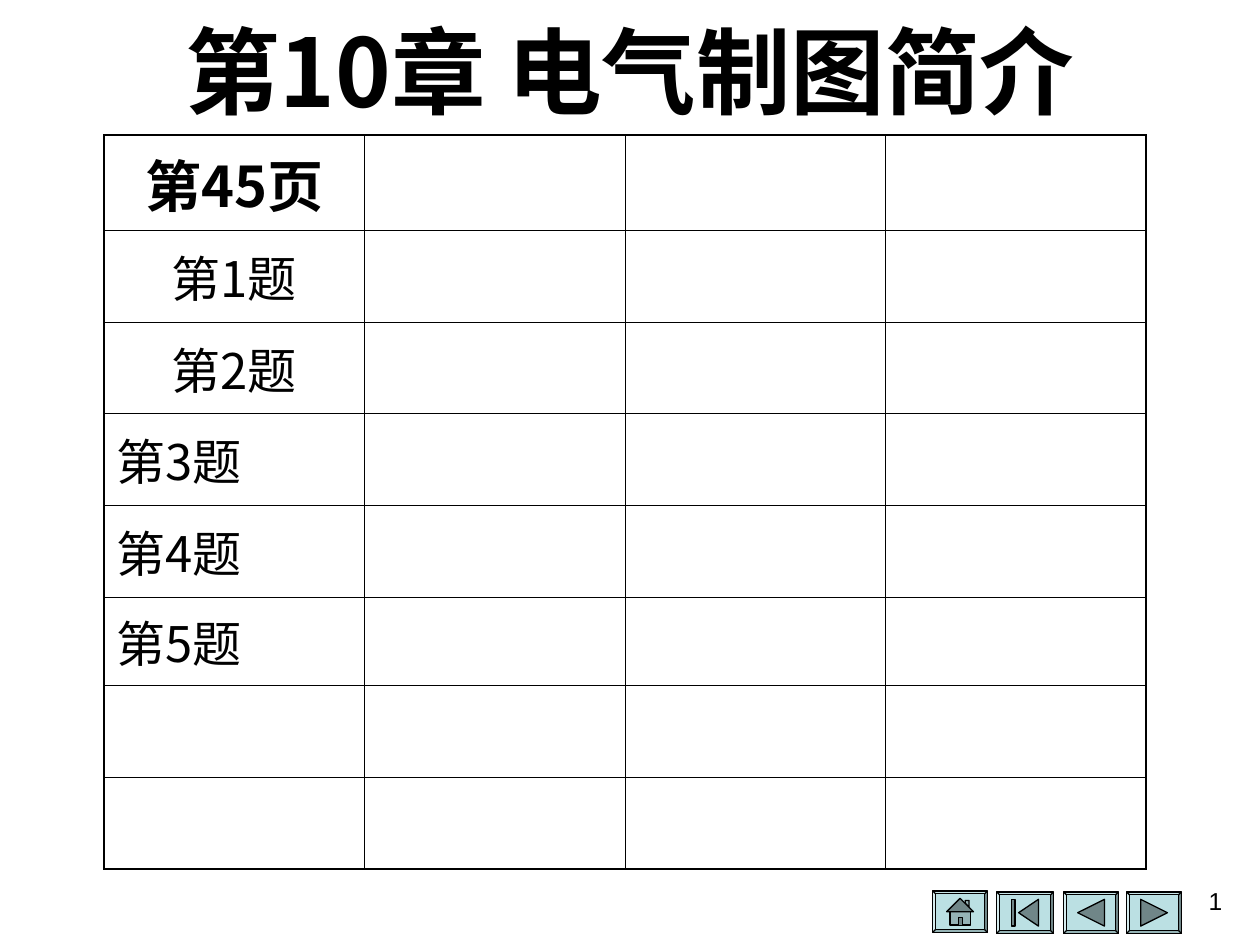
from lxml import etree
from pptx import Presentation
from pptx.dml.color import RGBColor
from pptx.enum.shapes import MSO_SHAPE
from pptx.enum.text import MSO_ANCHOR, PP_ALIGN
from pptx.oxml.ns import qn
from pptx.util import Cm, Pt

BEVEL = MSO_SHAPE.BEVEL
MIDDLE, TOP = MSO_ANCHOR.MIDDLE, MSO_ANCHOR.TOP
LEFT, CENTER, RIGHT = PP_ALIGN.LEFT, PP_ALIGN.CENTER, PP_ALIGN.RIGHT

BLACK = RGBColor(0, 0, 0)
BUTTON = RGBColor(0xBB, 0xE0, 0xE3)
ICON_DARK = RGBColor(0x70, 0x86, 0x88)
ICON_MID = RGBColor(0x96, 0xB3, 0xB6)

CHINESE_FONT, NUMBER_FONT = "Noto Sans CJK SC", "Arial"
THICK, THIN = 1.08, 0.45

COLUMN_COUNT = 4
ROW_HEIGHTS = [1.92] + [1.85] * 4 + [1.78] + [1.85] * 2
ROW_LABELS = [("第45页", CENTER), ("第1题", CENTER), ("第2题", CENTER),
              ("第3题", LEFT), ("第4题", LEFT), ("第5题", LEFT)]

# Icon outlines, measured from the button centre in half icon heights
HOME = [
    ([(0.38, -0.85), (0.67, -0.85), (0.67, -0.35), (0.38, -0.65)], ICON_MID),
    ([(-0.76, 0), (0.76, 0), (0.76, 1), (-0.76, 1)], ICON_MID),
    ([(0, -1), (1, 0), (-1, 0)], ICON_DARK),
    ([(-0.15, 0.45), (0.15, 0.45), (0.15, 1), (-0.15, 1)], ICON_DARK),
]
BEGINNING = [
    ([(-0.48, 0), (1, -1), (1, 1)], ICON_DARK),
    ([(-1, -1), (-0.76, -1), (-0.76, 1), (-1, 1)], ICON_DARK),
]
PREVIOUS = [([(-1, 0), (1, -1), (1, 1)], ICON_DARK)]
NEXT = [([(-1, -1), (1, 0), (-1, 1)], ICON_DARK)]
BUTTONS = [(0, 0, 1.11, HOME), (1.29, 0.02, 1.15, BEGINNING),
           (2.64, 0.02, 1.11, PREVIOUS), (3.91, 0.02, 1.11, NEXT)]
BUTTON_HEIGHT, ICON_RADIUS = 0.84, 0.27


def write_text(frame, text, size, font=CHINESE_FONT, bold=False, align=LEFT):
    para = frame.paragraphs[0]
    para.alignment = align
    span = para.add_run()
    span.text = text
    span.font.name = font
    span.font.size = Pt(size)
    span.font.bold = bold
    span.font.color.rgb = BLACK
    east_asian = etree.SubElement(span.font._element, qn("a:ea"))
    east_asian.set("typeface", font)


def add_text_box(page, left, top, width, height, text, size, anchor=TOP, **style):
    box = page.shapes.add_textbox(Cm(left), Cm(top), Cm(width), Cm(height))
    frame = box.text_frame
    frame.word_wrap = True
    frame.vertical_anchor = anchor
    write_text(frame, text, size, **style)


def set_borders(cell, **widths):
    """Draw the cell edges L, R, T and B with the given widths in points."""
    properties = cell._tc.get_or_add_tcPr()
    for side, width in widths.items():
        line = etree.SubElement(properties, qn(f"a:ln{side}"), w=str(Pt(width)))
        fill = etree.SubElement(line, qn("a:solidFill"))
        etree.SubElement(fill, qn("a:srgbClr"), val=str(BLACK))


def add_exercise_table(page, left, top, width):
    row_count = len(ROW_HEIGHTS)
    frame = page.shapes.add_table(row_count, COLUMN_COUNT, Cm(left), Cm(top),
                                  Cm(width), Cm(sum(ROW_HEIGHTS)))
    table = frame.table
    table.first_row = table.horz_banding = False
    for column in table.columns:
        column.width = Cm(width / COLUMN_COUNT)
    for r, height in enumerate(ROW_HEIGHTS):
        table.rows[r].height = Cm(height)
        for c in range(COLUMN_COUNT):
            cell = table.cell(r, c)
            set_borders(cell,
                        L=THICK if c == 0 else THIN,
                        R=THICK if c == COLUMN_COUNT - 1 else THIN,
                        T=THICK if r == 0 else THIN,
                        B=THICK if r == row_count - 1 else THIN)
            cell.fill.background()
            cell.vertical_anchor = MIDDLE
    for r, (label, align) in enumerate(ROW_LABELS):
        write_text(table.cell(r, 0).text_frame, label, 32 if r == 0 else 28,
                   bold=r == 0, align=align)


def paint(shape, color):
    shape.shadow.inherit = False
    shape.fill.solid()
    shape.fill.fore_color.rgb = color
    shape.line.color.rgb = BLACK
    shape.line.width = Pt(0.75)


def add_button(page, left, top, width, height, icon):
    button = page.shapes.add_shape(BEVEL, Cm(left), Cm(top), Cm(width), Cm(height))
    button.adjustments[0] = 0.07
    paint(button, BUTTON)
    center_x, center_y = left + width / 2, top + height / 2
    for outline, color in icon:
        points = [(Cm(center_x + x * ICON_RADIUS), Cm(center_y + y * ICON_RADIUS))
                  for x, y in outline]
        builder = page.shapes.build_freeform(*points[0])
        builder.add_line_segments(points[1:], close=True)
        paint(builder.convert_to_shape(), color)


def add_navigation(page, left, top):
    for x, y, width, icon in BUTTONS:
        add_button(page, left + x, top + y, width, BUTTON_HEIGHT, icon)


def main():
    deck = Presentation()
    deck.slide_width, deck.slide_height = Cm(25.4), Cm(19.05)
    page = deck.slides.add_slide(deck.slide_layouts[6])
    add_text_box(page, 1.27, 0.13, 22.86, 2.54, "第10章 电气制图简介", 54,
                 anchor=MIDDLE, bold=True, align=CENTER)
    add_exercise_table(page, 2.1, 2.72, 21)
    add_navigation(page, 18.8, 17.96)
    add_text_box(page, 18.97, 17.73, 5.92, 1.32, "1", 14,
                 font=NUMBER_FONT, align=RIGHT)
    deck.save("out.pptx")


if __name__ == "__main__":
    main()
